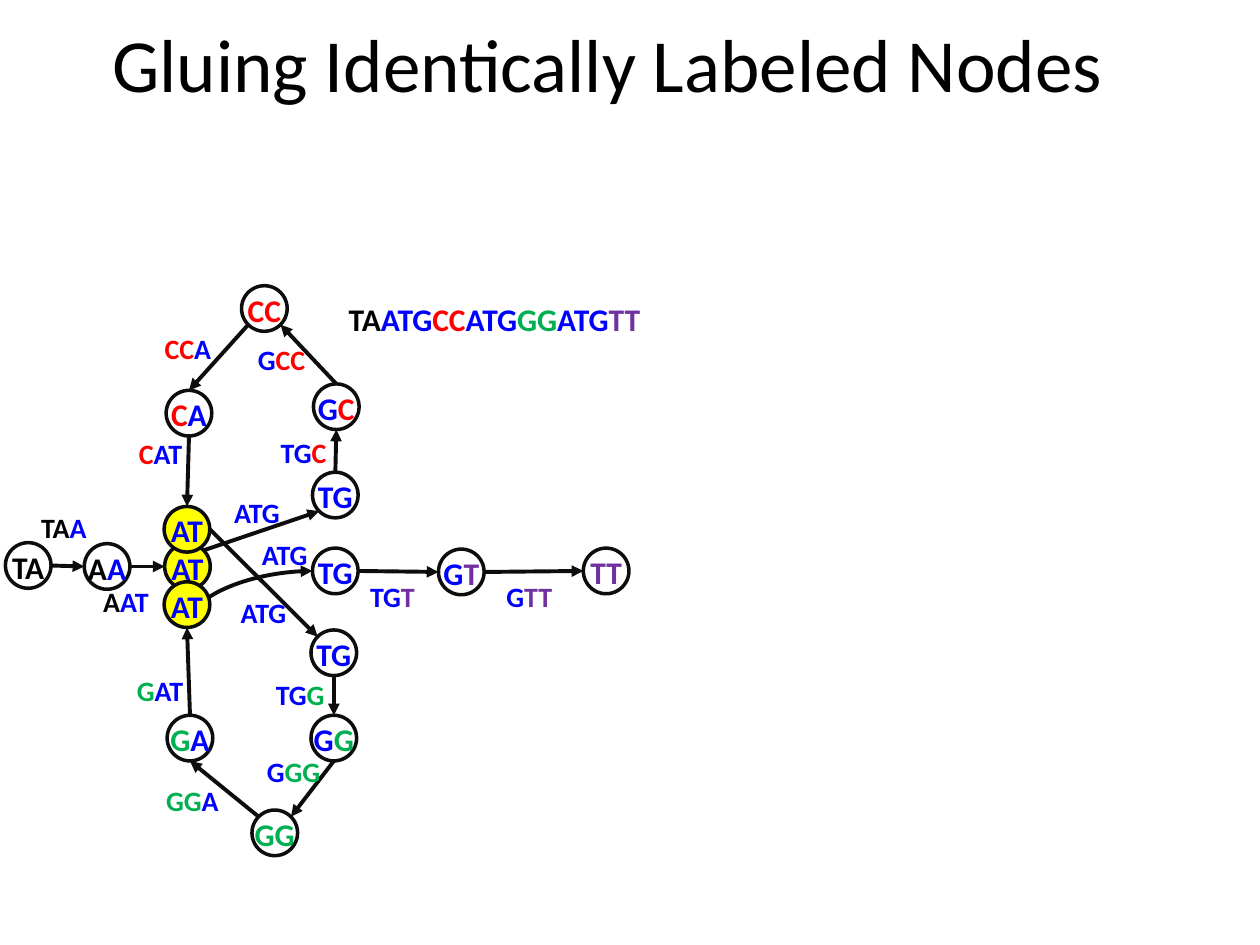
"""Build a slide that glues identically labeled nodes of a k-mer path."""
import itertools
import math
from dataclasses import dataclass

import pptx
import pptx.dml.color
import pptx.enum.shapes
import pptx.enum.text
import pptx.oxml
import pptx.oxml.ns
import pptx.util

Cm = pptx.util.Cm
Pt = pptx.util.Pt

TITLE = "Gluing Identically Labeled Nodes"
SEQUENCE = "TAATGCCATGGGATGTT"
SEQUENCE_COLORS = "kkbbbrrbbbggbbbpp"
GLUED = "AT"
NODE_CENTERS = [
    (0.57, 11.4), (2.16, 11.42), (3.78, 11.42), (6.76, 9.98),
    (6.78, 8.2), (5.33, 6.22), (3.81, 8.33), (3.77, 10.67),
    (6.73, 13.16), (6.73, 14.88), (5.54, 16.79), (3.83, 14.88),
    (3.77, 12.19), (6.76, 11.51), (9.3, 11.53), (12.22, 11.51),
]
EDGES = [
    ("E", "W", (0.58, 10.16)), ("E", "W", (1.83, 11.66)),
    ("NE", "SW", (4.47, 9.86)), ("N", "S", (5.41, 8.66)),
    ("N", "SE", (4.95, 6.78)), ("SW", "N", (3.07, 6.55)),
    ("S", "N", (2.55, 8.68)), ("E", "NW", (4.6, 11.89)),
    ("S", "N", (5.31, 13.54)), ("S", "NE", (5.13, 15.09)),
    ("NW", "S", (3.1, 15.67)), ("N", "S", (2.51, 13.46)),
    ("S", "W", (5.03, 10.72)), ("E", "W", (7.21, 11.56)),
    ("E", "W", (9.96, 11.56)),
]
CURVED_EDGE = 12
COMPASS = ["E", "SE", "S", "SW", "W", "NW", "N", "NE"]
DIAMETER = 0.92
LABEL_WIDTH, LABEL_HEIGHT = 1.7, 0.94


@dataclass(frozen=True)
class Theme:
    """Colours and type sizes."""
    font: str = "Calibri"
    bases: tuple = (("k", "000000"), ("b", "0000FF"), ("r", "FF0000"),
                    ("g", "00B050"), ("p", "7030A0"))
    outline: str = "0D0D0D"
    glued: str = "FFFF00"
    title_size: float = 42.9
    node_size: float = 18
    label_size: float = 16
    node_line: float = 2
    edge_line: float = 2.25


THEME = Theme()


def rgb(value):
    """Return a colour from its hexadecimal form."""
    return pptx.dml.color.RGBColor.from_string(value)


def style_paragraph(paragraph, size, bold=True):
    """Set the font of a whole paragraph."""
    paragraph.font.name = THEME.font
    paragraph.font.size = Pt(size)
    paragraph.font.bold = bold


def write_bases(paragraph, start, length, size):
    """Write part of the sequence with one run per colour."""
    style_paragraph(paragraph, size)
    stop = start + length
    pairs = zip(SEQUENCE[start:stop], SEQUENCE_COLORS[start:stop])
    for key, group in itertools.groupby(pairs, key=lambda pair: pair[1]):
        run = paragraph.add_run()
        run.text = "".join(base for base, _ in group)
        run.font.color.rgb = rgb(dict(THEME.bases)[key])


def add_label(slide, position, width, height, start, length, size):
    """Add a text box with part of the sequence."""
    left, top = position
    box = slide.shapes.add_textbox(Cm(left), Cm(top), Cm(width), Cm(height))
    box.text_frame.word_wrap = False
    write_bases(box.text_frame.paragraphs[0], start, length, size)


def rim_point(node, direction):
    """Return the point of a node's rim in a compass direction."""
    angle = COMPASS.index(direction) * math.pi / 4
    x, y = NODE_CENTERS[node]
    radius = DIAMETER / 2
    return Cm(x + radius * math.cos(angle)), Cm(y + radius * math.sin(angle))


def add_edge(slide, index, leave, arrive):
    """Add the arrow from one node to the next."""
    kinds = pptx.enum.shapes.MSO_CONNECTOR
    points = rim_point(index, leave), rim_point(index + 1, arrive)
    if index == CURVED_EDGE:
        kind, arrow, (end, begin) = kinds.CURVE, "headEnd", points
    else:
        kind, arrow, (begin, end) = kinds.STRAIGHT, "tailEnd", points
    edge = slide.shapes.add_connector(kind, *begin, *end)
    if index == CURVED_EDGE:
        geometry = edge._element.spPr.find(pptx.oxml.ns.qn("a:prstGeom"))
        geometry.set("prst", "curvedConnector2")
    edge.line.color.rgb = rgb(THEME.outline)
    edge.line.width = Pt(THEME.edge_line)
    namespace = pptx.oxml.ns.nsdecls("a")
    edge.line._get_or_add_ln().append(
        pptx.oxml.parse_xml(f'<a:{arrow} {namespace} type="triangle"/>'))
    edge._element.spPr.append(
        pptx.oxml.parse_xml(f"<a:effectLst {namespace}/>"))


def add_node(slide, index, center):
    """Add a circle holding two neighbouring bases."""
    x, y = center
    node = slide.shapes.add_shape(
        pptx.enum.shapes.MSO_SHAPE.OVAL, Cm(x - DIAMETER / 2),
        Cm(y - DIAMETER / 2), Cm(DIAMETER), Cm(DIAMETER))
    node.shadow.inherit = False
    if SEQUENCE[index:index + 2] == GLUED:
        node.fill.solid()
        node.fill.fore_color.rgb = rgb(THEME.glued)
    else:
        node.fill.background()
    node.line.color.rgb = rgb(THEME.outline)
    node.line.width = Pt(THEME.node_line)
    frame = node.text_frame
    frame.word_wrap = False
    frame.margin_left = frame.margin_right = frame.margin_bottom = 0
    frame.margin_top = Cm(0.04)
    frame.vertical_anchor = pptx.enum.text.MSO_ANCHOR.MIDDLE
    paragraph = frame.paragraphs[0]
    paragraph.alignment = pptx.enum.text.PP_ALIGN.CENTER
    write_bases(paragraph, index, 2, THEME.node_size)


def add_title(slide):
    """Add the centred title."""
    box = slide.shapes.add_textbox(Cm(0.81), Cm(0.2), Cm(22.86), Cm(2.11))
    frame = box.text_frame
    frame.word_wrap = True
    frame.vertical_anchor = pptx.enum.text.MSO_ANCHOR.MIDDLE
    paragraph = frame.paragraphs[0]
    paragraph.text = TITLE
    paragraph.alignment = pptx.enum.text.PP_ALIGN.CENTER
    style_paragraph(paragraph, THEME.title_size, bold=False)
    paragraph.font.color.rgb = rgb(dict(THEME.bases)["k"])


def main():
    """Build and save the presentation."""
    presentation = pptx.Presentation()
    presentation.slide_width = Cm(25.4)
    presentation.slide_height = Cm(19.05)
    slide = presentation.slides.add_slide(presentation.slide_layouts[6])
    for index, (leave, arrive, _) in enumerate(EDGES):
        add_edge(slide, index, leave, arrive)
    for index, center in enumerate(NODE_CENTERS):
        add_node(slide, index, center)
    for index, (_, _, position) in enumerate(EDGES):
        add_label(slide, position, LABEL_WIDTH, LABEL_HEIGHT, index, 3,
                  THEME.label_size)
    add_label(slide, (6.78, 5.92), 8, 1.02, 0, len(SEQUENCE),
              THEME.node_size)
    add_title(slide)
    presentation.save("out.pptx")


if __name__ == "__main__":
    main()
